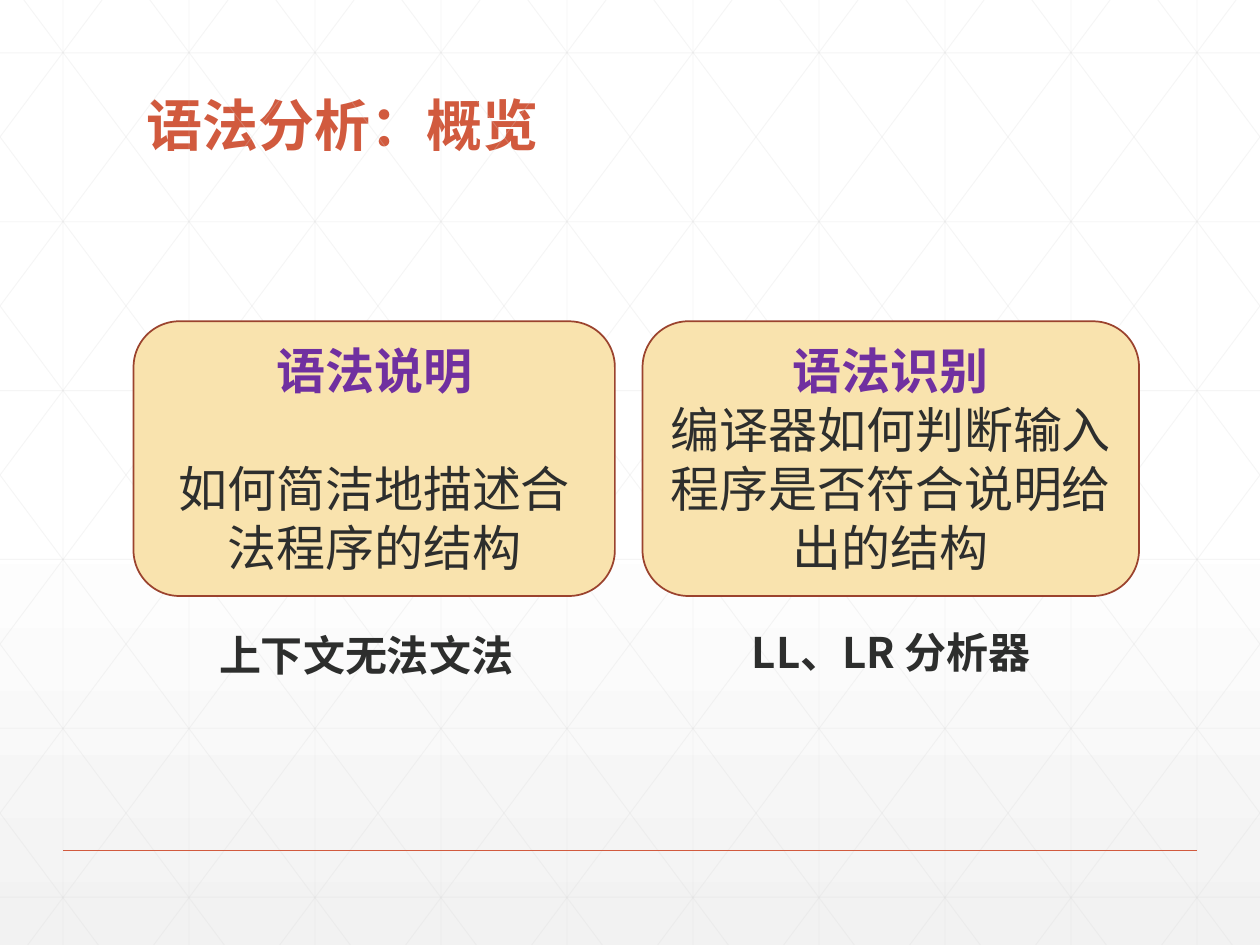
from dataclasses import dataclass

import pptx
import pptx.dml.color
import pptx.enum.shapes
import pptx.enum.text
import pptx.oxml.ns
import pptx.util
from lxml import etree
from pptx.dml.color import RGBColor
from pptx.util import Inches

WHITE = RGBColor(0xFF, 0xFF, 0xFF)
PALE_GREY = RGBColor(0xF2, 0xF2, 0xF2)
GRID_GREY = RGBColor(0xD9, 0xD9, 0xD9)
RUST = RGBColor(0xD1, 0x5A, 0x3E)
DARK_RUST = RGBColor(0x9B, 0x43, 0x2E)
CREAM = RGBColor(0xF9, 0xE3, 0xAE)
PURPLE = RGBColor(0x70, 0x30, 0xA0)
CHARCOAL = RGBColor(0x2D, 0x2E, 0x2D)

FONT = "Noto Sans CJK SC"
WIDTH, HEIGHT = 10, 7.5
DIAGONAL_RUN = 5.59
SLOPE = HEIGHT / DIAGONAL_RUN


@dataclass
class Area:
    left: float
    top: float
    width: float
    height: float

    def lengths(self) -> list[int]:
        return [Inches(v) for v in (self.left, self.top, self.width, self.height)]


@dataclass
class Topic:
    heading: str
    question: str
    gap: float
    card: Area
    answer: str
    answer_area: Area


TOPICS = [
    Topic("语法说明", "如何简洁地描述合法程序的结构", 34, Area(1.06, 2.55, 3.82, 2.18),
          "上下文无法文法", Area(1.16, 4.95, 3.49, 0.5)),
    Topic("语法识别", "编译器如何判断输入程序是否符合说明给出的结构", 0, Area(5.1, 2.55, 3.94, 2.18),
          "LL、LR 分析器", Area(5.48, 4.92, 3.19, 0.5)),
]


def draw_line(slide, x1: float, y1: float, x2: float, y2: float,
              color: RGBColor, width: float, opacity: int = 100) -> None:
    line = slide.shapes.add_connector(
        pptx.enum.shapes.MSO_CONNECTOR.STRAIGHT,
        Inches(x1), Inches(y1), Inches(x2), Inches(y2))
    line.line.color.rgb = color
    line.line.width = pptx.util.Pt(width)
    properties = line._element.spPr
    if opacity < 100:
        tint = properties.find(".//" + pptx.oxml.ns.qn("a:srgbClr"))
        alpha = etree.SubElement(tint, pptx.oxml.ns.qn("a:alpha"))
        alpha.set("val", str(opacity * 1000))
    etree.SubElement(properties, pptx.oxml.ns.qn("a:effectLst"))


def draw_grid(slide) -> None:
    def grid_line(x1: float, y1: float, x2: float, y2: float) -> None:
        draw_line(slide, x1, y1, x2, y2, GRID_GREY, 0.5, 25)

    for column in range(10):
        grid_line(column + 0.5, 0, column + 0.5, HEIGHT)
    for row in range(6):
        y = 0.42 + 1.34 * row
        grid_line(0, y, WIDTH, y)
    for step in range(-5, 10):
        origin = step + 0.19
        x1, x2 = max(0, origin), min(WIDTH, origin + DIAGONAL_RUN)
        y1, y2 = (x1 - origin) * SLOPE, (x2 - origin) * SLOPE
        grid_line(x1, y1, x2, y2)
        grid_line(WIDTH - x1, y1, WIDTH - x2, y2)


def write(paragraph, text: str, size: float, color: RGBColor, bold: bool,
          align=pptx.enum.text.PP_ALIGN.CENTER) -> None:
    paragraph.text = text
    paragraph.alignment = align
    font = paragraph.font
    font.name = FONT
    font.size = pptx.util.Pt(size)
    font.bold = bold
    font.color.rgb = color
    defaults = paragraph._p.pPr.find(pptx.oxml.ns.qn("a:defRPr"))
    etree.SubElement(defaults, pptx.oxml.ns.qn("a:ea")).set("typeface", FONT)


def draw_topic(slide, topic: Topic) -> None:
    card = slide.shapes.add_shape(
        pptx.enum.shapes.MSO_SHAPE.ROUNDED_RECTANGLE, *topic.card.lengths())
    card.shadow.inherit = False
    card.fill.solid()
    card.fill.fore_color.rgb = CREAM
    card.line.color.rgb = DARK_RUST
    card.line.width = pptx.util.Pt(1)
    frame = card.text_frame
    frame.vertical_anchor = pptx.enum.text.MSO_ANCHOR.MIDDLE
    write(frame.paragraphs[0], topic.heading, 28, PURPLE, True)
    question = frame.add_paragraph()
    question.space_before = pptx.util.Pt(topic.gap)
    write(question, topic.question, 28, CHARCOAL, False)

    answer = slide.shapes.add_textbox(*topic.answer_area.lengths()).text_frame
    answer.word_wrap = True
    answer.auto_size = pptx.enum.text.MSO_AUTO_SIZE.SHAPE_TO_FIT_TEXT
    write(answer.paragraphs[0], topic.answer, 24, CHARCOAL, True)


def draw_title(slide, text: str, area: Area) -> None:
    title = slide.shapes.title
    title.left, title.top, title.width, title.height = area.lengths()
    frame = title.text_frame
    frame.auto_size = pptx.enum.text.MSO_AUTO_SIZE.NONE
    frame.vertical_anchor = pptx.enum.text.MSO_ANCHOR.BOTTOM
    frame.paragraphs[0].line_spacing = 0.9
    write(frame.paragraphs[0], text, 32, RUST, True, pptx.enum.text.PP_ALIGN.LEFT)


def paint_background(slide) -> None:
    fill = slide.background.fill
    fill.gradient()
    fill.gradient_angle = 270
    for stop, position, color in zip(fill.gradient_stops, (0.53, 1), (WHITE, PALE_GREY)):
        stop.position = position
        stop.color.rgb = color


def main() -> None:
    deck = pptx.Presentation()
    deck.slide_width, deck.slide_height = Inches(WIDTH), Inches(HEIGHT)
    slide = deck.slides.add_slide(deck.slide_layouts.get_by_name("Title Only"))
    paint_background(slide)
    draw_grid(slide)
    draw_line(slide, 0.5, 6.75, 9.5, 6.75, RUST, 1)
    draw_title(slide, "语法分析：概览", Area(1.06, 0.55, 7.88, 0.76))
    for topic in TOPICS:
        draw_topic(slide, topic)
    deck.save("out.pptx")


if __name__ == "__main__":
    main()
